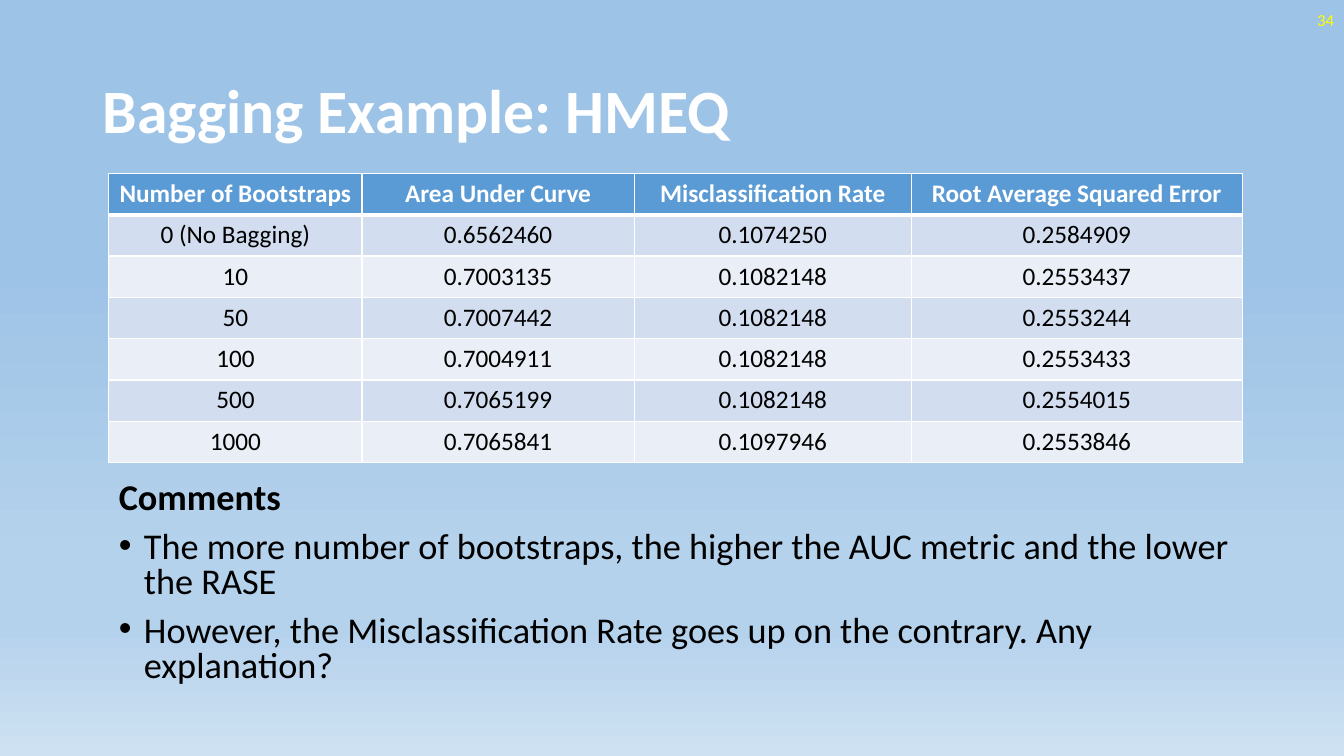
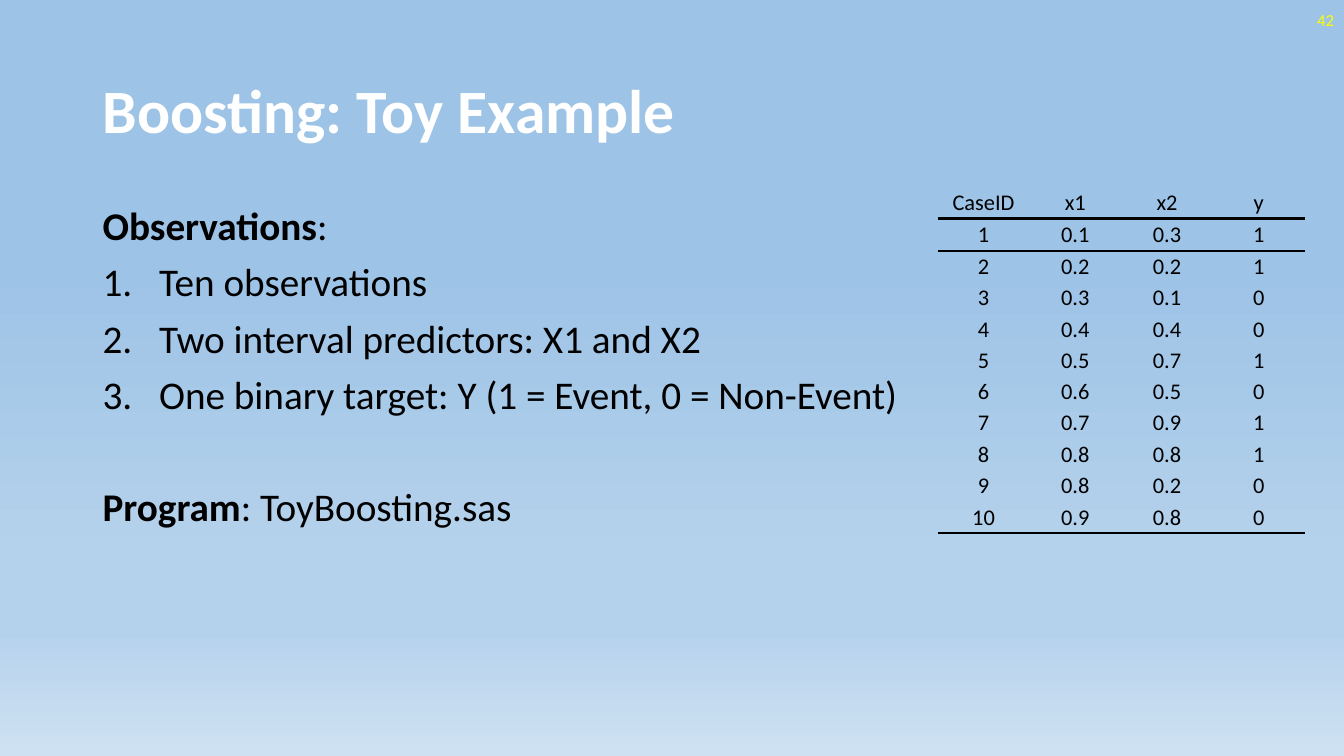
from lxml.etree import SubElement
from pptx import Presentation
from pptx.dml.color import RGBColor
from pptx.enum.text import MSO_ANCHOR, MSO_AUTO_SIZE, PP_ALIGN
from pptx.oxml.ns import qn
from pptx.util import Inches, Pt

WHITE = RGBColor(0xFF, 0xFF, 0xFF)
BLACK = RGBColor(0x00, 0x00, 0x00)
YELLOW = RGBColor(0xFF, 0xFF, 0x00)
HEADER_BLUE = RGBColor(0x5B, 0x9B, 0xD5)
BAND_DARK = RGBColor(0xD2, 0xDE, 0xEF)
BAND_LIGHT = RGBColor(0xEA, 0xEF, 0xF7)
SKY = RGBColor(0x9D, 0xC3, 0xE6)
PALE_SKY = RGBColor(0xB5, 0xD2, 0xEC)
HORIZON = RGBColor(0xCE, 0xE1, 0xF2)
BACKGROUND_STOPS = [(35, SKY), (74, PALE_SKY), (83, PALE_SKY), (100, HORIZON)]

FONT = "Calibri"
NO_STYLE = "{2D5ABB26-0587-4C30-8999-92F81FD0307C}"
DOT = ("a:buChar", {"char": "•"})
NUMBER = ("a:buAutoNum", {"type": "arabicPeriod"})

BAGGING_ROWS = [
    ("Number of Bootstraps", "Area Under Curve", "Misclassification Rate",
     "Root Average Squared Error"),
    ("0 (No Bagging)", "0.6562460", "0.1074250", "0.2584909"),
    ("10", "0.7003135", "0.1082148", "0.2553437"),
    ("50", "0.7007442", "0.1082148", "0.2553244"),
    ("100", "0.7004911", "0.1082148", "0.2553433"),
    ("500", "0.7065199", "0.1082148", "0.2554015"),
    ("1000", "0.7065841", "0.1097946", "0.2553846"),
]
TOY_ROWS = [
    ("CaseID", "x1", "x2", "y"),
    ("1", "0.1", "0.3", "1"),
    ("2", "0.2", "0.2", "1"),
    ("3", "0.3", "0.1", "0"),
    ("4", "0.4", "0.4", "0"),
    ("5", "0.5", "0.7", "1"),
    ("6", "0.6", "0.5", "0"),
    ("7", "0.7", "0.9", "1"),
    ("8", "0.8", "0.8", "1"),
    ("9", "0.8", "0.2", "0"),
    ("10", "0.9", "0.8", "0"),
]


def set_background(master):
    """Give the master its vertical sky gradient."""
    fill = master.background.fill
    fill.gradient()
    fill.gradient_angle = 270
    stops = next(master.element.cSld.iter(qn("a:gsLst")))
    for stop in list(stops):
        stops.remove(stop)
    for percent, color in BACKGROUND_STOPS:
        stop = SubElement(stops, qn("a:gs"), pos=str(percent * 1000))
        SubElement(stop, qn("a:srgbClr"), val=str(color))


def style_font(font, size, color, bold=False):
    """Set the shared typeface with a size, colour and weight."""
    font.name = FONT
    font.size = Pt(size)
    font.color.rgb = color
    font.bold = bold


def add_page(deck, title, number):
    """Add a slide with its title and page number."""
    page = deck.slides.add_slide(deck.slide_layouts[5])
    heading = page.shapes.title
    heading.left, heading.top = Inches(0.92), Inches(0.4)
    heading.width, heading.height = Inches(11.5), Inches(1.45)
    heading.text_frame.text = title
    heading.text_frame.auto_size = MSO_AUTO_SIZE.NONE
    heading.text_frame.vertical_anchor = MSO_ANCHOR.MIDDLE
    para = heading.text_frame.paragraphs[0]
    para.alignment = PP_ALIGN.LEFT
    para.line_spacing = 0.9
    style_font(para.font, 44, WHITE, True)

    box = page.shapes.add_textbox(Inches(10.33), 0, Inches(3), Inches(0.4))
    box.text_frame.word_wrap = True
    box.text_frame.vertical_anchor = MSO_ANCHOR.MIDDLE
    para = box.text_frame.paragraphs[0]
    para.text = number
    para.alignment = PP_ALIGN.RIGHT
    style_font(para.font, 12, YELLOW)
    return page


def add_body(page, bounds, items, size, spacing, indent):
    """Fill a box with items of bold lead, plain text, bullet and space before."""
    box = page.shapes.add_textbox(*map(Inches, bounds))
    frame = box.text_frame
    frame.word_wrap = True
    for index, (lead, text, bullet, space) in enumerate(items):
        para = frame.add_paragraph() if index else frame.paragraphs[0]
        if bullet:
            tag, attributes = bullet
            properties = para._p.get_or_add_pPr()
            properties.set("marL", str(Inches(indent)))
            properties.set("indent", str(-Inches(indent)))
            SubElement(properties, qn("a:buFont"), typeface="Arial" if bullet is DOT else FONT)
            SubElement(properties, qn(tag), attributes)
        para.line_spacing = spacing
        para.space_before = Pt(space)
        style_font(para.font, size, BLACK, not text)
        for words, bold in ((lead, True), (text, False)):
            if words:
                span = para.add_run()
                span.text = words
                if lead and text:
                    span.font.bold = bold


def add_border(cell, side, color, width):
    """Draw one side (L, R, T or B) of a cell."""
    line = SubElement(cell._tc.get_or_add_tcPr(), qn(f"a:ln{side}"), w=str(Pt(width)))
    fill = SubElement(line, qn("a:solidFill"))
    SubElement(fill, qn("a:srgbClr"), val=str(color))


def add_grid(page, left, top, widths, heights, rows):
    """Add an unstyled table with centred text and yield each cell with its row."""
    frame = page.shapes.add_table(
        len(rows), len(widths), Inches(left), Inches(top),
        Inches(sum(widths)), Inches(sum(heights)))
    table = frame.table
    table.horz_banding = False
    frame._element.find(".//" + qn("a:tableStyleId")).text = NO_STYLE
    for column, width in zip(table.columns, widths):
        column.width = Inches(width)
    for row_index, (row, height, values) in enumerate(zip(table.rows, heights, rows)):
        row.height = Inches(height)
        for cell, value in zip(row.cells, values):
            cell.text = value
            para = cell.text_frame.paragraphs[0]
            para.alignment = PP_ALIGN.CENTER
            yield row_index, cell, para


def add_bagging_table(page, left, top):
    """Place the banded table of bootstrap results."""
    widths = [2.51, 2.7, 2.75, 3.28]
    heights = [0.41] * len(BAGGING_ROWS)
    for row, cell, para in add_grid(page, left, top, widths, heights, BAGGING_ROWS):
        header = row == 0
        style_font(para.font, 18, WHITE if header else BLACK, header)
        for side in "LRTB":
            heavy = (row, side) in ((0, "B"), (1, "T"))
            add_border(cell, side, WHITE, 3 if heavy else 1)
        cell.fill.solid()
        band = BAND_DARK if row % 2 else BAND_LIGHT
        cell.fill.fore_color.rgb = HEADER_BLUE if header else band


def add_toy_table(page, left, top):
    """Place the open table of ten cases, ruled under its head and foot."""
    last = len(TOY_ROWS) - 1
    widths = [0.91] * 4
    heights = [0.32 if row in (0, 1, last) else 0.31 for row in range(last + 1)]
    for row, cell, para in add_grid(page, left, top, widths, heights, TOY_ROWS):
        style_font(para.font, 16, BLACK)
        cell.vertical_anchor = MSO_ANCHOR.MIDDLE
        cell.margin_left = cell.margin_right = cell.margin_top = Inches(0.01)
        cell.margin_bottom = 0
        if row == 1:
            add_border(cell, "T", BLACK, 2)
        if row in (0, last):
            add_border(cell, "B", BLACK, 2)
        cell.fill.background()


def build_bagging(deck):
    """Build the slide on bagging results."""
    page = add_page(deck, "Bagging Example: HMEQ", "34")
    add_bagging_table(page, 1.08, 1.72)
    add_body(page, (1.08, 4.74, 11.5, 2.18), [
        ("Comments", "", None, 0),
        ("", "The more number of bootstraps, the higher the AUC metric and the lower the RASE",
         DOT, 10),
        ("", "However, the Misclassification Rate goes up on the contrary. Any explanation?",
         DOT, 10),
    ], size=25.9, spacing=0.8, indent=0.25)


def build_boosting(deck):
    """Build the slide on the boosting data."""
    page = add_page(deck, "Boosting: Toy Example", "42")
    add_body(page, (0.92, 2, 8.3, 4.76), [
        ("Observations", ":", None, 0),
        ("", "Ten observations", NUMBER, 10),
        ("", "Two interval predictors: X1 and X2", NUMBER, 10),
        ("", "One binary target: Y (1 = Event, 0 = Non-Event)", NUMBER, 10),
        ("Program", ": ToyBoosting.sas", None, 50),
    ], size=28, spacing=0.9, indent=0.56)
    add_toy_table(page, 9.3, 1.85)


def main():
    """Build and save the deck."""
    deck = Presentation()
    deck.slide_width, deck.slide_height = Inches(13.33), Inches(7.5)
    set_background(deck.slide_master)
    build_bagging(deck)
    build_boosting(deck)
    deck.save("out.pptx")


if __name__ == "__main__":
    main()
